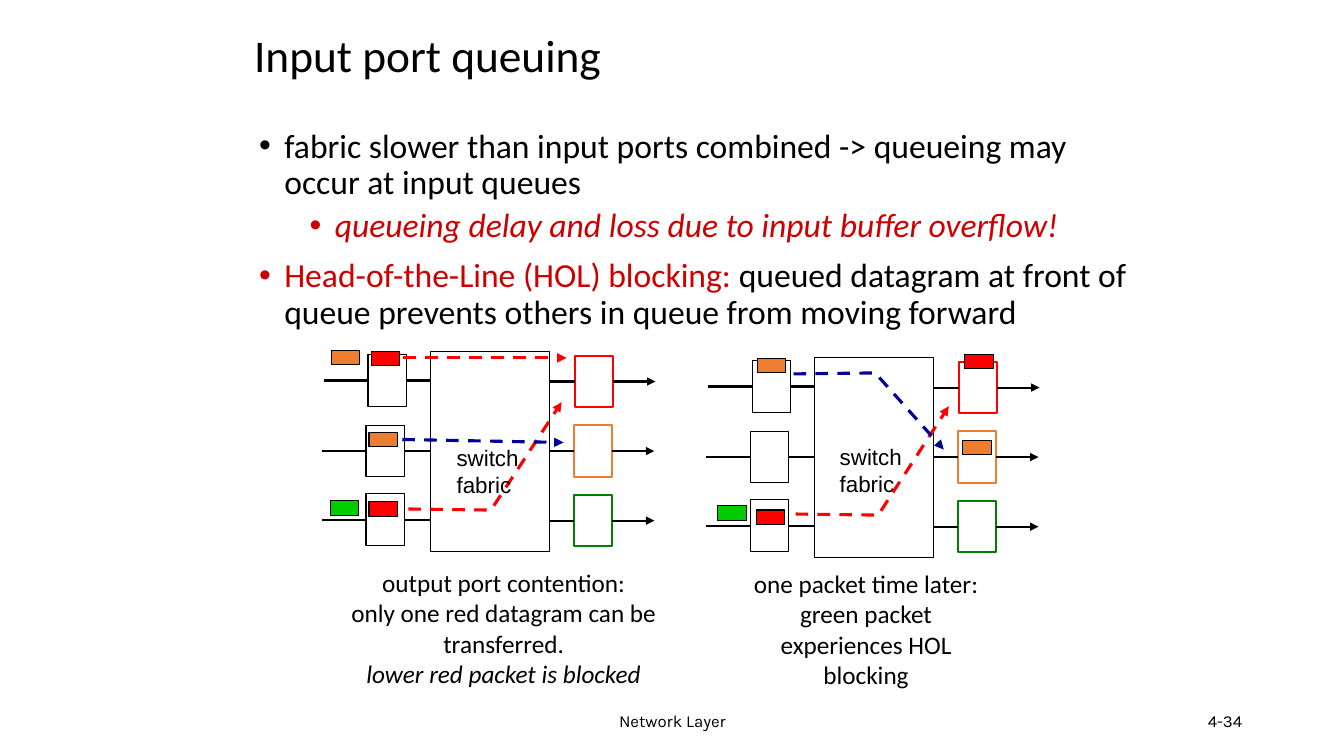
"""Build the slide on input port queuing and head-of-the-line blocking."""
from lxml import etree
from pptx import Presentation
from pptx import util as u
from pptx.dml.color import RGBColor
from pptx.enum import dml, shapes, text
from pptx.oxml.ns import qn

PX = 9144
COLORS = {
    "black": "000000", "white": "FFFFFF", "red": "FF0000", "orange": "ED7D31",
    "green": "008000", "lime": "00CC00", "blue": "000099", "accent": "CC0000",
}
PORT_WIDTH, PORT_HEIGHT = 38, 51
FABRIC_WIDTH, FABRIC_HEIGHT = 118, 198
INPUT_OFFSETS = [(-62, 3), (-64, 73), (-64, 141)]
OUTPUT_OFFSETS = [(143, 4, "red"), (142, 73, "orange"), (142, 142, "green")]


def rgb(name):
    """Return the named colour."""
    return RGBColor.from_string(COLORS[name])


def place(item, box):
    """Move and size an element in px."""
    item.left, item.top, item.width, item.height = (u.Emu(v * PX) for v in box)


def style_line(line, color, weight, arrow=False, dashed=False):
    """Set colour, weight, dash and arrowhead of a line."""
    line.color.rgb = rgb(color)
    line.width = u.Pt(weight)
    if dashed:
        line.dash_style = dml.MSO_LINE.DASH
    if arrow:
        ln = line._get_or_add_ln()
        etree.SubElement(ln, qn("a:tailEnd"), type="triangle")


def add_run(paragraph, words, size, font="Calibri", color="black", italic=False):
    """Append one formatted run."""
    run = paragraph.add_run()
    run.text = words
    run.font.size = u.Pt(size)
    run.font.name = font
    run.font.italic = italic
    run.font.color.rgb = rgb(color)


def add_text(parent, box, paragraphs, size, font="Calibri", align="LEFT",
             anchor="TOP", wrap=True):
    """Add a text box; each paragraph is a list of (words, italic) or a line break."""
    text_box = parent.add_textbox(*(v * PX for v in box))
    frame = text_box.text_frame
    frame.word_wrap = wrap
    frame.vertical_anchor = getattr(text.MSO_ANCHOR, anchor)
    for index, runs in enumerate(paragraphs):
        paragraph = frame.add_paragraph() if index else frame.paragraphs[0]
        paragraph.alignment = getattr(text.PP_ALIGN, align)
        for run in runs:
            if run == "\n":
                paragraph.add_line_break()
            else:
                add_run(paragraph, run[0], size, font, italic=run[1])


def add_box(parent, box, fill="white", outline="black", weight=0.75):
    """Add a filled and outlined rectangle."""
    rect = parent.add_shape(shapes.MSO_SHAPE.RECTANGLE, *(v * PX for v in box))
    rect.shadow.inherit = False
    rect.fill.solid()
    rect.fill.fore_color.rgb = rgb(fill)
    style_line(rect.line, outline, weight)
    return rect


def add_wire(parent, start, end, color="black", weight=1.5, arrow=False, dashed=False):
    """Add a straight connector."""
    wire = parent.add_connector(shapes.MSO_CONNECTOR.STRAIGHT,
                                *(round(v * PX) for v in (*start, *end)))
    etree.SubElement(wire._element.spPr, qn("a:effectLst"))
    style_line(wire.line, color, weight, arrow, dashed)
    return wire


def add_route(parent, points, color):
    """Add a dashed path that a packet takes through the fabric."""
    builder = parent.build_freeform(*points[0], scale=PX)
    builder.add_line_segments(points[1:], close=False)
    route = builder.convert_to_shape()
    route.shadow.inherit = False
    route.fill.background()
    style_line(route.line, color, 2.25, arrow=True, dashed=True)


def add_packets(parent, packets):
    """Add packets given as (left, top, colour)."""
    for left, top, color in packets:
        add_box(parent, (left, top, 28, 14), color)


def add_switch(slide, left, top):
    """Add a grouped fabric with wired input and output ports; return its shapes."""
    parts = slide.shapes.add_group_shape().shapes
    add_box(parts, (left, top, FABRIC_WIDTH, FABRIC_HEIGHT))
    for dx, dy in INPUT_OFFSETS:
        x, y = left + dx, top + dy
        middle = y + PORT_HEIGHT / 2
        port = add_box(parts, (x, y, PORT_WIDTH, PORT_HEIGHT))
        add_wire(parts, (x - 44, middle), (x, middle)).end_connect(port, 1)
        add_wire(parts, (x + PORT_WIDTH, middle), (left, middle)).begin_connect(port, 3)
    for dx, dy, color in OUTPUT_OFFSETS:
        x, y = left + dx, top + dy
        middle = y + PORT_HEIGHT / 2
        right = x + PORT_WIDTH
        port = add_box(parts, (x, y, PORT_WIDTH, PORT_HEIGHT), outline=color, weight=1.5)
        add_wire(parts, (left + FABRIC_WIDTH, middle), (x, middle)).end_connect(port, 1)
        add_wire(parts, (right, middle), (right + 42, middle),
                 arrow=True).begin_connect(port, 3)
    return parts


def add_fabric_label(parent, left, top):
    """Label the switch fabric."""
    add_text(parent, (left, top, 82, 64), [[("switch", False)], [("fabric", False)]],
             16, "Arial", wrap=False)


def fill_title(title):
    """Place and write the title."""
    place(title, (242, 32, 850, 50))
    frame = title.text_frame
    frame.auto_size = text.MSO_AUTO_SIZE.NONE
    frame.vertical_anchor = text.MSO_ANCHOR.MIDDLE
    heading = frame.paragraphs[0]
    heading.alignment = text.PP_ALIGN.LEFT
    heading.line_spacing = 0.9
    add_run(heading, "Input port queuing", 32.4)


def fill_body(body):
    """Place and write the bullet list."""
    place(body, (247, 123, 886, 290))
    frame = body.text_frame
    frame.auto_size = text.MSO_AUTO_SIZE.NONE
    bullets = [
        (0, [("fabric slower than input ports combined -> queueing may occur at "
              "input queues", "black")]),
        (1, [("queueing delay and loss due to input buffer overflow!", "accent")]),
        (0, [("Head-of-the-Line (HOL) blocking:", "accent"),
             (" queued datagram at front of queue prevents others in queue from "
              "moving forward", "black")]),
    ]
    for index, (level, runs) in enumerate(bullets):
        bullet = frame.add_paragraph() if index else frame.paragraphs[0]
        bullet.level = level
        bullet.line_spacing = 0.9
        bullet.space_before = u.Pt(5 if level else 10)
        props = bullet._p.get_or_add_pPr()
        props.set("marL", str((75 if level else 25) * PX))
        props.set("indent", str(-25 * PX))
        etree.SubElement(props, qn("a:buFont"), typeface="Arial")
        etree.SubElement(props, qn("a:buChar"), char="•")
        for words, color in runs:
            add_run(bullet, words, 24, color=color, italic=level == 1)


def add_contention(slide):
    """Add the left scene, where two red packets want one output."""
    add_switch(slide, 427, 349)
    scene = slide.shapes
    add_packets(scene, [(368, 349, "red"), (366, 429, "orange"), (366, 498, "red"),
                        (329, 348, "orange"), (328, 497, "lime")])
    add_wire(scene, (400, 355), (562, 355), "red", 2.25, arrow=True, dashed=True)
    add_route(scene, [(405, 505), (487, 506), (557, 399)], "red")
    add_text(scene, (314, 558, 371, 130),
             [[("output port contention:", False)],
              [("only one red datagram can be transferred.", False), "\n",
               ("lower red packet is blocked", True)]], 18, align="CENTER")
    add_fabric_label(scene, 443, 436)
    add_wire(scene, (399, 436), (559, 439), "blue", 2.25, arrow=True, dashed=True)


def add_blocking(slide):
    """Add the right scene, one packet time later."""
    scene = add_switch(slide, 808, 355)
    add_text(scene, (737, 559, 244, 130),
             [[("one packet time later: green packet experiences HOL blocking", False)]],
             18, align="CENTER")
    add_fabric_label(scene, 823, 435)
    add_packets(scene, [(957, 352, "red"), (751, 356, "orange"), (750, 506, "red")])
    add_route(scene, [(789, 510), (871, 511), (941, 403)], "red")
    add_route(scene, [(787, 371), (868, 370), (936, 446)], "blue")
    add_packets(scene, [(712, 502, "lime"), (955, 437, "orange")])


def main():
    """Build and save the slide."""
    deck = Presentation()
    deck.slide_width, deck.slide_height = u.Emu(1333 * PX), u.Emu(750 * PX)
    slide = deck.slides.add_slide(deck.slide_layouts[1])
    add_text(slide.shapes, (442, 695, 450, 40), [[("Network Layer", False)]], 12,
             "Karla", "CENTER", "MIDDLE")
    add_text(slide.shapes, (942, 695, 300, 40), [[("4-34", False)]], 12,
             "Karla", "RIGHT", "MIDDLE")
    fill_title(slide.shapes.title)
    fill_body(slide.placeholders[1])
    add_contention(slide)
    add_blocking(slide)
    deck.save("out.pptx")


if __name__ == "__main__":
    main()
